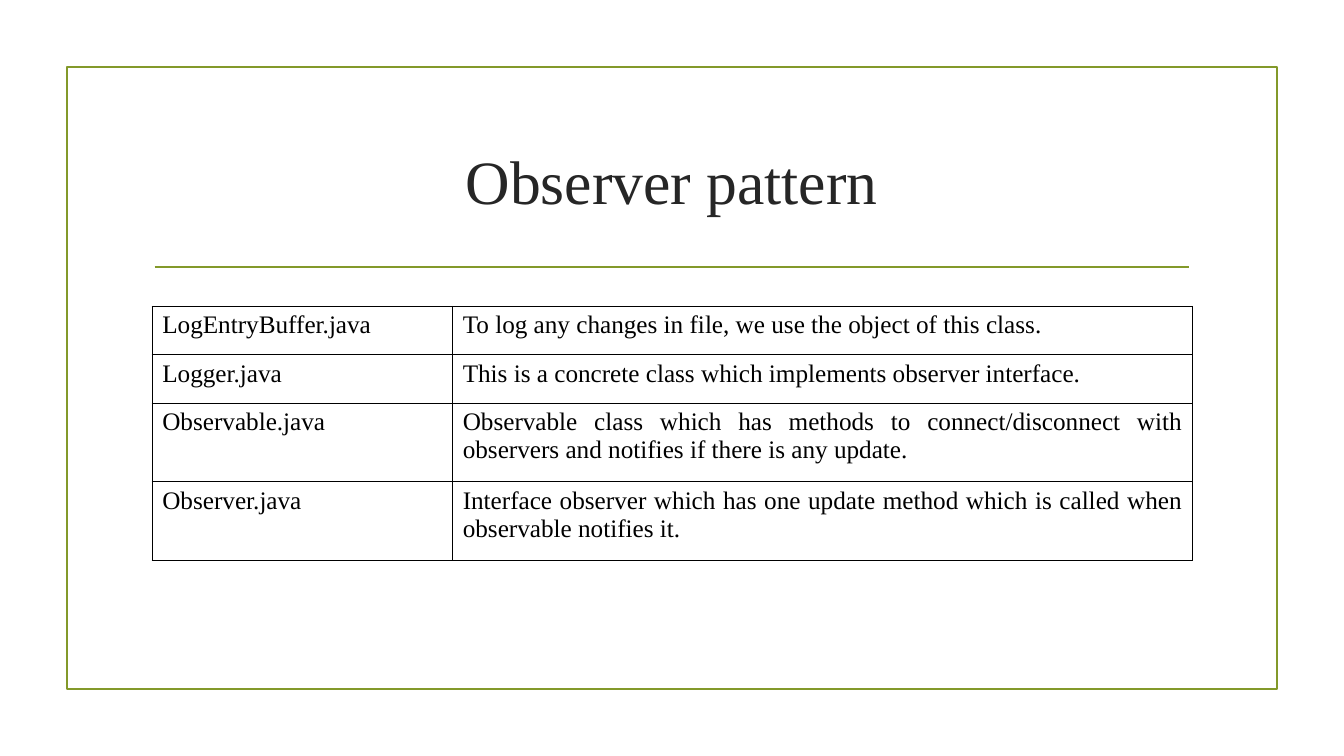
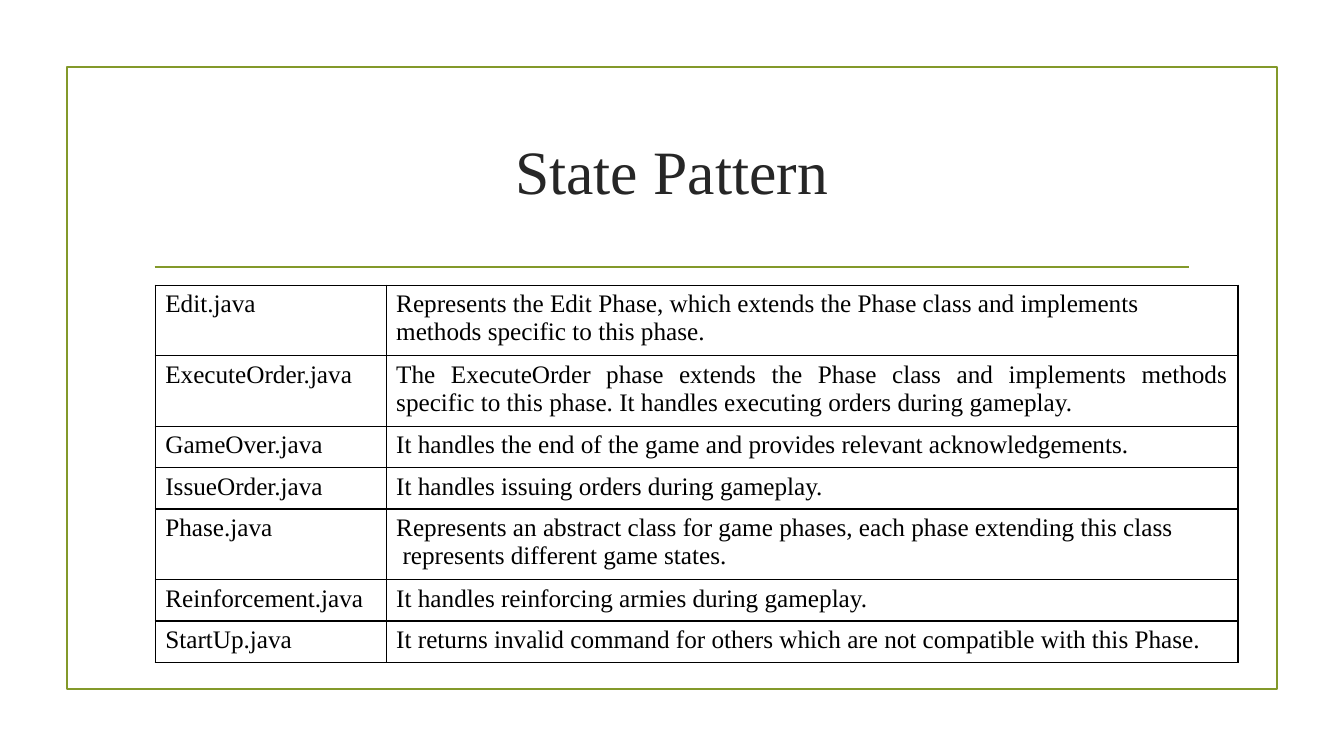
from dataclasses import dataclass

from lxml import etree
from pptx import Presentation
from pptx.dml.color import RGBColor
from pptx.enum.shapes import MSO_CONNECTOR, MSO_SHAPE
from pptx.enum.text import MSO_ANCHOR, PP_ALIGN
from pptx.oxml.ns import qn
from pptx.slide import Slide
from pptx.table import _Cell
from pptx.text.text import TextFrame
from pptx.util import Inches, Pt

RECTANGLE = MSO_SHAPE.RECTANGLE
STRAIGHT = MSO_CONNECTOR.STRAIGHT
MIDDLE = MSO_ANCHOR.MIDDLE
LEFT, CENTER, JUSTIFY = PP_ALIGN.LEFT, PP_ALIGN.CENTER, PP_ALIGN.JUSTIFY

OLIVE = RGBColor(0x83, 0x99, 0x2A)
CHARCOAL = RGBColor(0x26, 0x26, 0x26)
BLACK = RGBColor(0x00, 0x00, 0x00)
FONT = "Times New Roman"

SLIDE_W, SLIDE_H = 13.33, 7.5
MARGIN = 0.05 * SLIDE_W
RULE_INSET = 0.115 * SLIDE_W
RULE_TOP = 2.65
TITLE_W, TITLE_H = 10.5, 1.43
LINE_WIDTH = Pt(1.25)
BORDER_WIDTH = Pt(1)


@dataclass(frozen=True)
class Row:
    file: str
    purpose: str
    height: float


@dataclass(frozen=True)
class PatternSlide:
    title: str
    title_top: float
    table_left: float
    table_top: float
    columns: tuple[float, float]
    rows: tuple[Row, ...]


SLIDES = (
    PatternSlide("Observer pattern", 1.07, 1.51, 3.04, (2.98, 7.34), (
        Row("LogEntryBuffer.java",
            "To log any changes in file, we use the object of this class.", 0.48),
        Row("Logger.java",
            "This is a concrete class which implements observer interface.", 0.48),
        Row("Observable.java",
            "Observable class which has methods to connect/disconnect with "
            "observers and notifies if there is any update.", 0.78),
        Row("Observer.java",
            "Interface observer which has one update method which is called when "
            "observable notifies it.", 0.78),
    )),
    PatternSlide("State Pattern", 0.97, 1.54, 2.83, (2.29, 8.45), (
        Row("Edit.java",
            "Represents the Edit Phase, which extends the Phase class and implements\n"
            "methods specific to this phase.", 0.65),
        Row("ExecuteOrder.java",
            "The ExecuteOrder phase extends the Phase class and implements methods "
            "specific to this phase. It handles executing orders during gameplay.", 0.65),
        Row("GameOver.java",
            "It handles the end of the game and provides relevant acknowledgements.", 0.41),
        Row("IssueOrder.java", "It handles issuing orders during gameplay.", 0.41),
        Row("Phase.java",
            "Represents an abstract class for game phases, each phase extending this class\n"
            " represents different game states.", 0.65),
        Row("Reinforcement.java", "It handles reinforcing armies during gameplay.", 0.41),
        Row("StartUp.java",
            "It returns invalid command for others which are not compatible with this Phase.",
            0.41),
    )),
)


def write_text(tf: TextFrame, text: str, size: int, color: RGBColor, align: PP_ALIGN) -> None:
    tf.text = text
    for p in tf.paragraphs:
        p.alignment = align
        for r in p.runs:
            r.font.name = FONT
            r.font.size = Pt(size)
            r.font.color.rgb = color


def add_frame(slide: Slide) -> None:
    """Draw the border and the rule under the title."""
    sp = slide.shapes.add_shape(
        RECTANGLE, Inches(MARGIN), Inches(MARGIN),
        Inches(SLIDE_W - 2 * MARGIN), Inches(SLIDE_H - 2 * MARGIN))
    sp.shadow.inherit = False
    sp.fill.background()
    rule = slide.shapes.add_connector(
        STRAIGHT, Inches(RULE_INSET), Inches(RULE_TOP),
        Inches(SLIDE_W - RULE_INSET), Inches(RULE_TOP))
    etree.SubElement(rule._element.spPr, qn("a:effectLst"))
    for shape in (sp, rule):
        shape.line.color.rgb = OLIVE
        shape.line.width = LINE_WIDTH


def add_title(slide: Slide, title: str, top: float) -> None:
    box = slide.shapes.add_textbox(
        Inches((SLIDE_W - TITLE_W) / 2), Inches(top), Inches(TITLE_W), Inches(TITLE_H))
    tf = box.text_frame
    tf.word_wrap = True
    tf.vertical_anchor = MIDDLE
    write_text(tf, title, 44, CHARCOAL, CENTER)


def set_borders(cell: _Cell) -> None:
    tc_pr = cell._tc.get_or_add_tcPr()
    for side in ("a:lnL", "a:lnR", "a:lnT", "a:lnB"):
        ln = etree.SubElement(tc_pr, qn(side), w=str(BORDER_WIDTH))
        fill = etree.SubElement(ln, qn("a:solidFill"))
        etree.SubElement(fill, qn("a:srgbClr"), val=str(BLACK))


def add_class_table(slide: Slide, content: PatternSlide) -> None:
    rows = content.rows
    table = slide.shapes.add_table(
        len(rows), len(content.columns),
        Inches(content.table_left), Inches(content.table_top),
        Inches(sum(content.columns)), Inches(sum(row.height for row in rows))).table
    table.first_row = table.horz_banding = False
    for column, width in zip(table.columns, content.columns):
        column.width = Inches(width)
    for table_row, row in zip(table.rows, rows):
        table_row.height = Inches(row.height)
        texts = ((row.file, LEFT), (row.purpose, JUSTIFY))
        for cell, (text, align) in zip(table_row.cells, texts):
            set_borders(cell)
            cell.fill.background()
            write_text(cell.text_frame, text, 18, BLACK, align)


def main() -> None:
    prs = Presentation()
    prs.slide_width, prs.slide_height = Inches(SLIDE_W), Inches(SLIDE_H)
    blank = prs.slide_layouts[6]
    for content in SLIDES:
        slide = prs.slides.add_slide(blank)
        add_frame(slide)
        add_title(slide, content.title, content.title_top)
        add_class_table(slide, content)
    prs.save("out.pptx")


if __name__ == "__main__":
    main()
